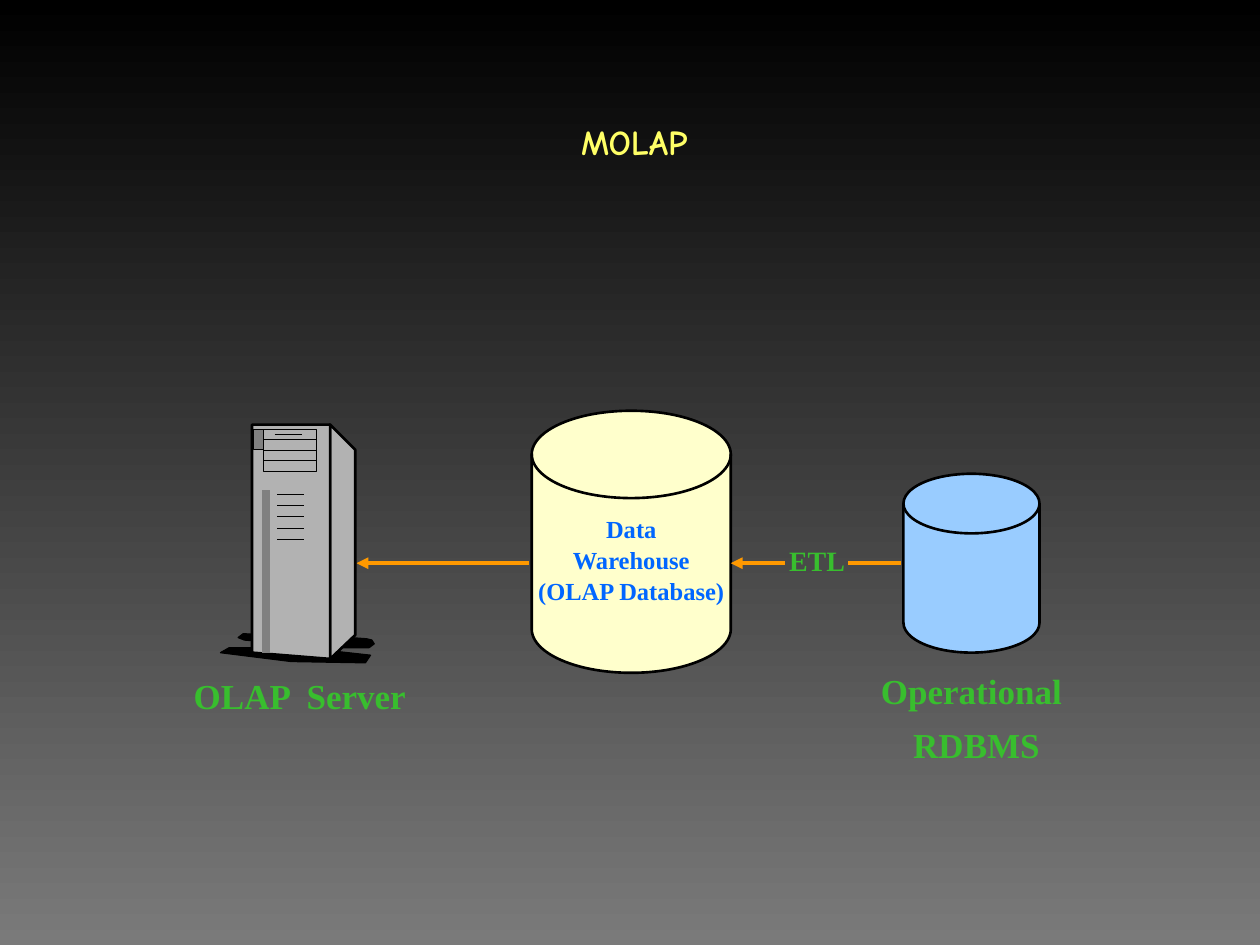
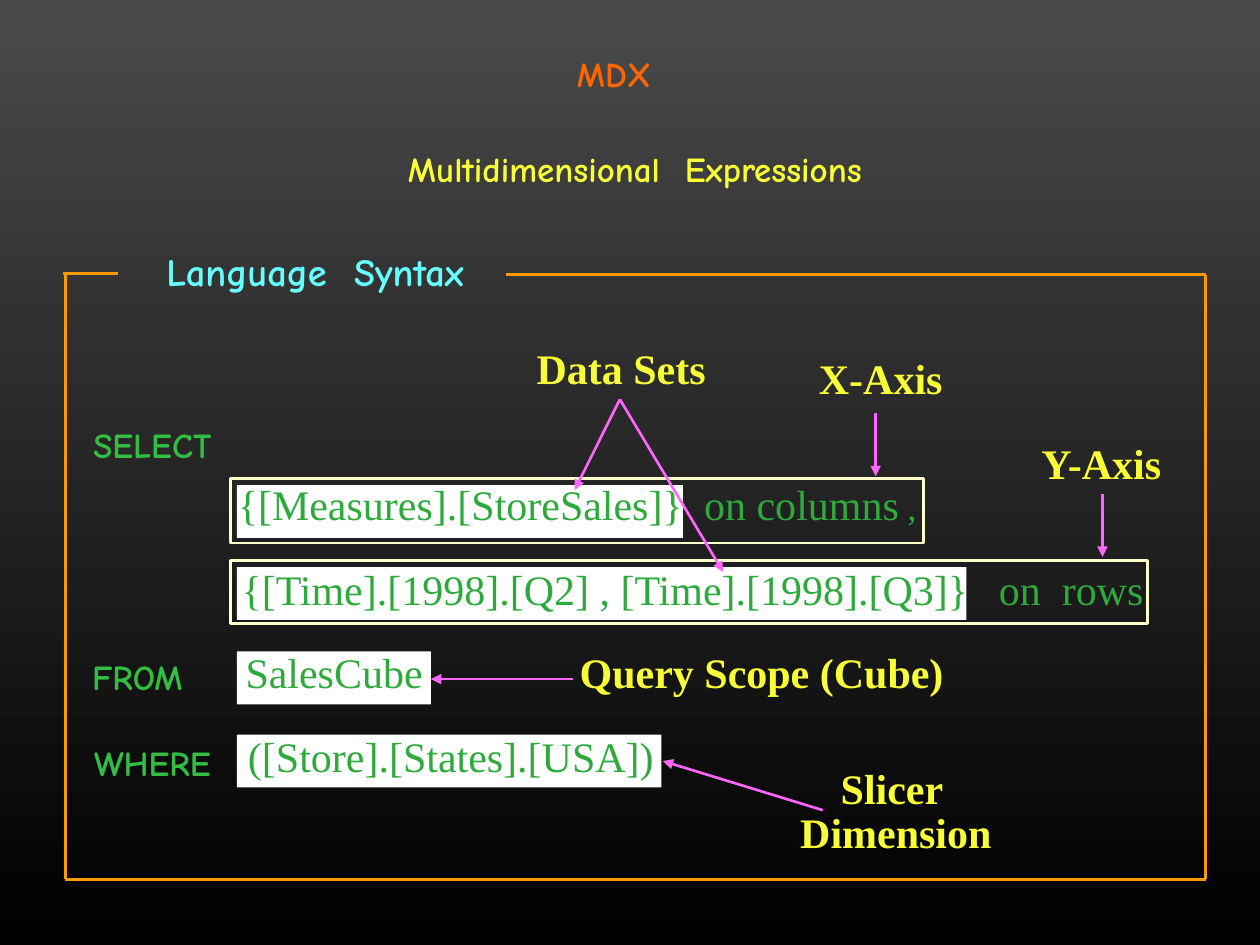
from lxml import etree
from pptx import Presentation
from pptx.dml.color import RGBColor
from pptx.enum.shapes import MSO_CONNECTOR, MSO_SHAPE
from pptx.enum.text import MSO_ANCHOR, PP_ALIGN
from pptx.oxml.ns import qn
from pptx.util import Inches, Pt

LINE = MSO_CONNECTOR.STRAIGHT
RECT = MSO_SHAPE.RECTANGLE
DISK = MSO_SHAPE.FLOWCHART_MAGNETIC_DISK
MIDDLE = MSO_ANCHOR.MIDDLE
CENTER = PP_ALIGN.CENTER
LEFT = PP_ALIGN.LEFT

COMIC = "Comic Neue"
TIMES = "Times New Roman"
BLACK = "000000"
WHITE = "FFFFFF"
CREAM = "FFFFCC"
ORANGE = "FF9900"
PINK = "FF66FF"
GREEN = "38BE2E"
LEAF = "33BD43"
CODE = "2EAA3D"
BLUE = "0066FF"
YELLOW = "F8FD37"
GRAY = "B2B2B2"
DARK = "808080"
rgb = RGBColor.from_string


def text(slide, x, y, w, h, words, size, hue, font=TIMES, bold=True):
    box = slide.shapes.add_textbox(Inches(x), Inches(y), Inches(w), Inches(h))
    frame = box.text_frame
    frame.word_wrap = False
    frame.vertical_anchor = MIDDLE
    para = frame.paragraphs[0]
    para.alignment = CENTER
    run = para.add_run()
    run.text = words
    run.font.name = font
    run.font.size = Pt(size)
    run.font.bold = bold
    run.font.color.rgb = rgb(hue)
    return frame


def line(slide, x1, y1, x2, y2, hue, width=1.5, arrow=False):
    link = slide.shapes.add_connector(LINE, Inches(x1), Inches(y1), Inches(x2), Inches(y2))
    link.line.color.rgb = rgb(hue)
    link.line.width = Pt(width)
    props = link._element.spPr
    etree.SubElement(props, qn("a:effectLst"))
    if arrow:
        etree.SubElement(props.find(qn("a:ln")), qn("a:tailEnd"), type="triangle")


deck = Presentation()
deck.slide_width = Inches(10)
deck.slide_height = Inches(7.5)
blank = deck.slide_layouts[6]

slides = []
for hues in ((BLACK, "7A7A7A"), ("4A4A4A", BLACK)):
    slide = deck.slides.add_slide(blank)
    fill = slide.background.fill
    fill.gradient()
    fill.gradient_angle = 270
    for stop, hue in zip(fill.gradient_stops, hues):
        stop.color.rgb = rgb(hue)
    slides.append(slide)
molap, mdx = slides

text(molap, 4.2, 0.83, 1.67, 0.58, "MOLAP", 20, "FFFF66", COMIC)

for x, y, w, h, hue in ((4.22, 3.26, 1.58, 2.08, CREAM), (7.17, 3.76, 1.08, 1.42, "99CCFF")):
    disk = molap.shapes.add_shape(DISK, Inches(x), Inches(y), Inches(w), Inches(h))
    disk.shadow.inherit = False
    disk.fill.solid()
    disk.fill.fore_color.rgb = rgb(hue)
    disk.line.color.rgb = rgb(BLACK)
    disk.line.width = Pt(1.5)

for row, words in enumerate(("Data", "Warehouse", "(OLAP Database)")):
    text(molap, 4.12, 4.03 + row * 0.245, 1.78, 0.34, words, 14, BLUE)

for x1, x2, arrow in ((7.15, 6.73, False), (6.23, 5.8, True), (4.2, 2.83, True)):
    line(molap, x1, 4.47, x2, 4.47, ORANGE, 2.25, arrow)

text(molap, 6.13, 4.26, 0.71, 0.37, "ETL", 16, GREEN)
text(molap, 6.81, 5.26, 1.8, 0.44, "Operational", 20, GREEN)
text(molap, 7.05, 5.69, 1.4, 0.44, "RDBMS", 20, GREEN)
text(molap, 1.36, 5.3, 2.04, 0.44, "OLAP  Server", 20, GREEN)

back = ((1.93, 5.03), (1.89, 5.06), (1.94, 5.08), (2.67, 5.14), (2.93, 5.14),
        (2.97, 5.11), (2.95, 5.08), (2.91, 5.07), (2.77, 5.06))
foot = ((1.82, 5.14), (1.75, 5.18), (2.31, 5.25), (2.9, 5.26), (2.94, 5.2),
        (2.67, 5.17), (2.3, 5.14))
side = ((2.62, 3.37), (2.82, 3.57), (2.82, 5.04), (2.62, 5.23))
front = ((2, 3.37), (2.62, 3.37), (2.62, 5.23), (2, 5.18))
for dots, hue, width in ((back, BLACK, 0.75), (foot, BLACK, 0.75), (side, GRAY, 1.5), (front, GRAY, 1.5)):
    dots = [(Inches(x), Inches(y)) for x, y in dots]
    pen = molap.shapes.build_freeform(*dots[0])
    pen.add_line_segments(dots[1:])
    part = pen.convert_to_shape()
    part.shadow.inherit = False
    part.fill.solid()
    part.fill.fore_color.rgb = rgb(hue)
    part.line.color.rgb = rgb(BLACK)
    part.line.width = Pt(width)

for x, w, h, hue in ((2.09, 0.42, 0.33, GRAY), (2.01, 0.08, 0.16, DARK)):
    bay = molap.shapes.add_shape(RECT, Inches(x), Inches(3.41), Inches(w), Inches(h))
    bay.shadow.inherit = False
    bay.fill.solid()
    bay.fill.fore_color.rgb = rgb(hue)
    bay.line.color.rgb = rgb(BLACK)
    bay.line.width = Pt(0.25)

for row in range(3):
    y = 3.49 + row * 0.08
    line(molap, 2.09, y, 2.51, y, BLACK, 0.25)
for row in range(5):
    y = 3.92 + row * 0.09
    line(molap, 2.2, y, 2.41, y, BLACK, 0.25)
line(molap, 2.18, 3.45, 2.4, 3.45, BLACK, 0.5)
line(molap, 2.11, 3.89, 2.11, 5.18, DARK, 4.5)

text(mdx, 4.25, 0.33, 1.25, 0.5, "MDX", 20, "FF6600", COMIC)
text(mdx, 3.08, 1, 3.92, 0.67, "Multidimensional  Expressions", 20, YELLOW, COMIC)
text(mdx, 0.91, 1.92, 3.18, 0.47, "Language  Syntax", 22, "66FFFF", COMIC)

for ends in ((0.94, 2.17, 0.5, 2.17), (0.52, 2.17, 0.52, 6.98), (0.52, 6.98, 9.57, 6.98),
             (4.02, 2.18, 9.57, 2.18), (9.57, 2.18, 9.57, 6.98)):
    line(mdx, *ends, ORANGE)

for y, w, h in ((3.85, 3.54, 0.42), (4.5, 5.79, 0.42), (5.17, 1.54, 0.42), (5.83, 3.37, 0.42)):
    plate = mdx.shapes.add_shape(RECT, Inches(1.88), Inches(y), Inches(w), Inches(h))
    plate.shadow.inherit = False
    plate.fill.solid()
    plate.fill.fore_color.rgb = rgb(WHITE)
    plate.line.fill.background()

for y, w, h in ((3.8, 5.5, 0.51), (4.45, 7.28, 0.5)):
    ring = mdx.shapes.add_shape(RECT, Inches(1.83), Inches(y), Inches(w), Inches(h))
    ring.shadow.inherit = False
    ring.fill.background()
    ring.line.color.rgb = rgb(CREAM)
    ring.line.width = Pt(1.5)

for x, y, w, words in ((0.59, 3.31, 1.24, "SELECT"), (0.58, 5.15, 1.02, "FROM"), (0.56, 5.83, 1.3, "WHERE")):
    text(mdx, x, y, w, 0.44, words, 20, LEAF, COMIC)

for x, y, w, words, stop, tail in (
    (1.79, 3.75, 5.86, "{[Measures].[StoreSales]}", 3.7, "on columns"),
    (1.82, 4.42, 7.66, "{[Time].[1998].[Q2] , [Time].[1998].[Q3]}", 6.01, "on  rows"),
    (1.85, 5.08, 1.88, "SalesCube", 0, ""),
    (1.87, 5.75, 3.7, "([Store].[States].[USA])", 0, ""),
):
    if tail:
        words = words + "\t" + tail
    frame = text(mdx, x, y, w, 0.5, words, 24, CODE, bold=False)
    frame.word_wrap = True
    para = frame.paragraphs[0]
    para.alignment = LEFT
    if tail:
        tabs = etree.SubElement(para._p.get_or_add_pPr(), qn("a:tabLst"))
        etree.SubElement(tabs, qn("a:tab"), pos=str(Inches(stop)), algn="l")
    if tail == "on columns":
        run = para.add_run()
        run.text = " ,"
        run.font.name = TIMES
        run.font.size = Pt(20)
        run.font.color.rgb = rgb(CODE)

for x, y, w, words in (
    (4.16, 2.67, 1.54, "Data Sets"), (6.4, 2.75, 1.18, "X-Axis"), (8.15, 3.42, 1.18, "Y-Axis"),
    (4.5, 5.08, 3.09, "Query Scope (Cube)"), (6.48, 6, 1.2, "Slicer"), (6.25, 6.35, 1.72, "Dimension"),
):
    text(mdx, x, y, w, 0.5, words, 24, YELLOW)

for ends in ((4.92, 3.17, 4.56, 3.89), (4.92, 3.17, 5.74, 4.54), (6.95, 3.28, 6.95, 3.78),
             (8.75, 3.92, 8.75, 4.42), (4.55, 5.39, 3.42, 5.39), (6.53, 6.43, 5.26, 6.04)):
    line(mdx, *ends, PINK, arrow=True)

deck.save("out.pptx")
